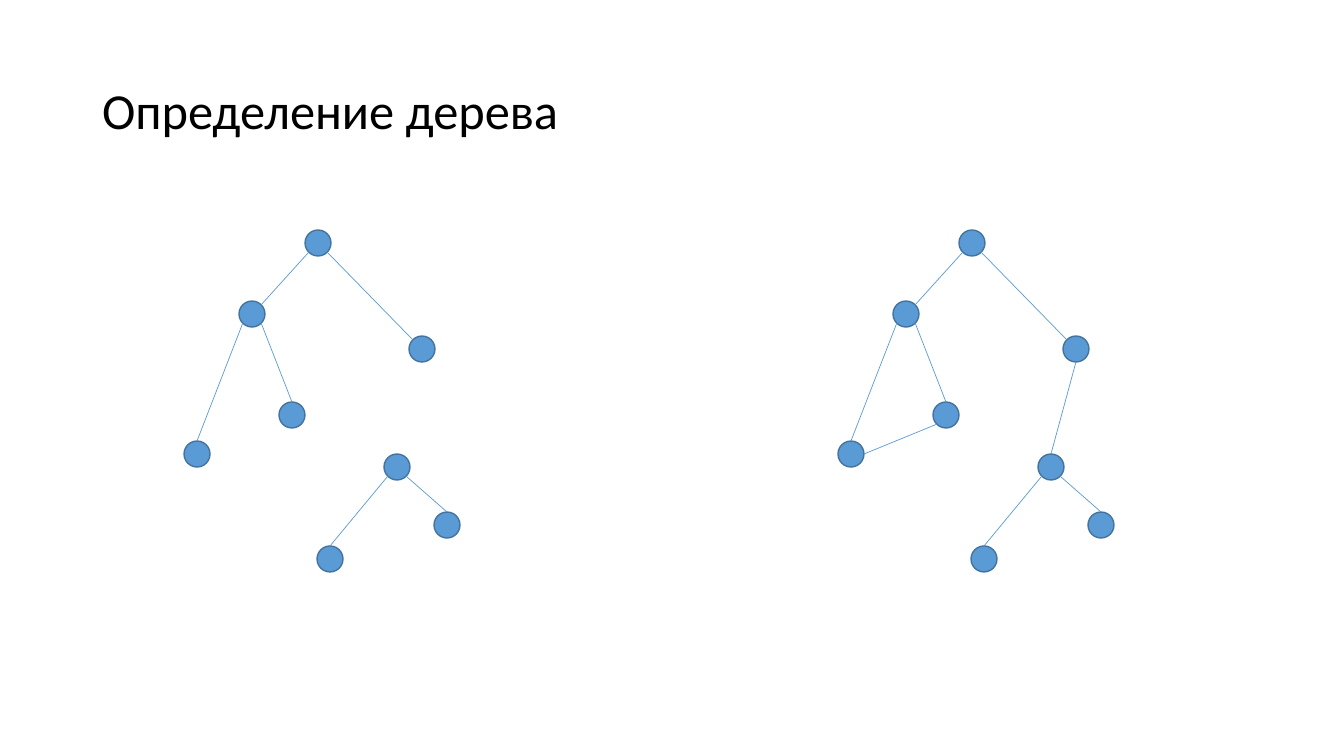
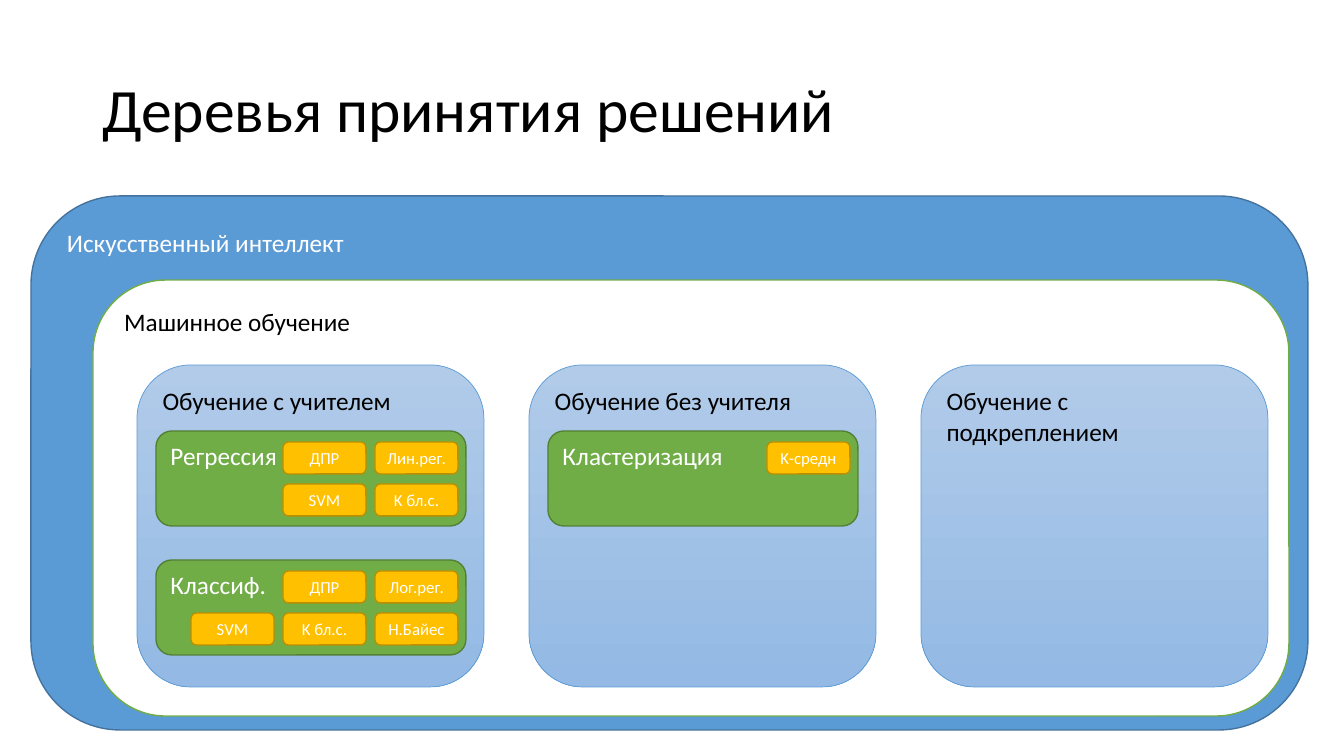
from lxml import etree
from pptx import Presentation
from pptx.dml.color import RGBColor
from pptx.enum.shapes import MSO_CONNECTOR, MSO_SHAPE
from pptx.enum.text import MSO_ANCHOR, PP_ALIGN
from pptx.oxml.ns import qn
from pptx.util import Emu, Pt

PX = 914400 / 100.8
SLIDE_W, SLIDE_H = 1344, 756
TITLE_ONLY = 5
TITLE_BOX = (92, 40, 1159, 146)
FONT = "Calibri"

OVAL = MSO_SHAPE.FLOWCHART_CONNECTOR
ROUND = MSO_SHAPE.ROUNDED_RECTANGLE
STRAIGHT = MSO_CONNECTOR.STRAIGHT
LEFT, CENTER = PP_ALIGN.LEFT, PP_ALIGN.CENTER
TOP, MIDDLE = MSO_ANCHOR.TOP, MSO_ANCHOR.MIDDLE

BLUE, BLUE_EDGE = "5B9BD5", "43739E"
GREEN, GREEN_EDGE = "70AD47", "538035"
GOLD, GOLD_EDGE = "FFC000", "BD8E00"
WHITE, BLACK = "FFFFFF", "000000"
PANEL_STOPS = ("B1CBE9", "93B9E4")

CAPTION = {"size": 18, "align": LEFT, "frame": {"vertical_anchor": TOP, "word_wrap": True}}
LABEL = {"size": 12, "align": CENTER, "frame": {"vertical_anchor": MIDDLE, "word_wrap": False}}

# Tree nodes: centres relative to the tree's box
NODE = 26
NODES = {
    "root": (134, 13), "left": (68, 84), "right": (238, 119),
    "inner": (108, 185), "outer": (13, 224),
    "sub": (213, 237), "sub_left": (146, 329), "sub_right": (263, 295),
}
# Connection sites of a circle: number and direction from the centre
DIAG = 0.71
SITES = {
    "n": (0, 0, -1), "nw": (1, -DIAG, -DIAG), "w": (2, -1, 0), "sw": (3, -DIAG, DIAG),
    "s": (4, 0, 1), "se": (5, DIAG, DIAG), "e": (6, 1, 0), "ne": (7, DIAG, -DIAG),
}
FOREST_EDGES = [
    ("root", "sw", "left", "ne"), ("root", "se", "right", "nw"),
    ("left", "sw", "outer", "n"), ("left", "se", "inner", "n"),
    ("sub", "sw", "sub_left", "n"), ("sub", "se", "sub_right", "n"),
]
CYCLE_EDGES = FOREST_EDGES + [("right", "s", "sub", "n"), ("outer", "e", "inner", "sw")]

# Learning types, their task groups and the methods in rows, aligned to the right
LEARNING = [
    ("Обучение с учителем", [
        ("Регрессия", [["ДПР", "Лин.рег."], ["SVM", "K бл.с."]]),
        ("Классиф.", [["ДПР", "Лог.рег."], ["SVM", "K бл.с.", "Н.Байес"]]),
    ]),
    ("Обучение без учителя", [("Кластеризация", [["K-средн"]])]),
    ("Обучение с подкреплением", []),
]


def px(value):
    """Turn pixels into EMU."""
    return Emu(round(value * PX))


def rgb(value):
    """Turn a hex string into a colour."""
    return RGBColor.from_string(value)


def set_attrs(obj, values):
    """Set every attribute named in a dict."""
    for name, value in values.items():
        setattr(obj, name, value)


def write(tf, text, color, style):
    """Put one formatted paragraph into a text frame."""
    set_attrs(tf, style["frame"])
    p = tf.paragraphs[0]
    p.alignment = style["align"]
    r = p.add_run()
    r.text = text
    set_attrs(r.font, {"name": FONT, "size": Pt(style["size"])})
    r.font.color.rgb = rgb(color)
    return p


def add_shape(s, kind, box, fill, edge, width=1):
    """Add a preset shape; a tuple of two colours fills it from top to bottom."""
    sp = s.shapes.add_shape(kind, *map(px, box))
    sp.shadow.inherit = False
    if isinstance(fill, tuple):
        sp.fill.gradient()
        sp.fill.gradient_angle = 270
        for stop, color in zip(sp.fill.gradient_stops, fill):
            stop.color.rgb = rgb(color)
    else:
        sp.fill.solid()
        sp.fill.fore_color.rgb = rgb(fill)
    sp.line.color.rgb = rgb(edge)
    sp.line.width = Pt(width)
    return sp


def add_block(s, box, text, fill, edge, color, style=CAPTION, width=1):
    """Add a rounded block with its text."""
    sp = add_shape(s, ROUND, box, fill, edge, width)
    write(sp.text_frame, text, color, style)


def add_titled_slide(prs, text, size):
    """Add a title-only slide and format its title."""
    s = prs.slides.add_slide(prs.slide_layouts[TITLE_ONLY])
    title = s.shapes.title
    set_attrs(title, dict(zip(("left", "top", "width", "height"), map(px, TITLE_BOX))))
    style = {"size": size, "align": LEFT, "frame": {"vertical_anchor": MIDDLE, "word_wrap": True}}
    write(title.text_frame, text, BLACK, style).line_spacing = 0.9
    return s


def site_point(left, top, node, site):
    """Give the place of a connection site on a node."""
    x, y = NODES[node]
    dx, dy = SITES[site][1:]
    return px(left + x + dx * NODE / 2), px(top + y + dy * NODE / 2)


def add_tree(s, left, top, edges):
    """Draw the nodes from the box corner and glue the edges to them."""
    circles = {}
    for name, (x, y) in NODES.items():
        box = (left + x - NODE / 2, top + y - NODE / 2, NODE, NODE)
        circles[name] = add_shape(s, OVAL, box, BLUE, BLUE_EDGE)
    for start, start_site, end, end_site in edges:
        line = s.shapes.add_connector(
            STRAIGHT, *site_point(left, top, start, start_site),
            *site_point(left, top, end, end_site))
        line.line.color.rgb = rgb(BLUE)
        line.line.width = Pt(0.5)
        etree.SubElement(line._element.spPr, qn("a:effectLst"))
        links = line._element.find(".//" + qn("p:cNvCxnSpPr"))
        for tag, node, site in (("a:stCxn", start, start_site), ("a:endCxn", end, end_site)):
            etree.SubElement(links, qn(tag), id=str(circles[node].shape_id),
                             idx=str(SITES[site][0]))


def add_group(s, box, name, rows):
    """Draw a task group with its methods in right-aligned rows."""
    left, top, width, _ = box
    chip_w, chip_h, step_x, step_y, margin = 83, 32, 92, 42, 8
    add_block(s, box, name, GREEN, GREEN_EDGE, WHITE)
    for i, row in enumerate(rows):
        for j, method in enumerate(reversed(row)):
            x = left + width - margin - chip_w - j * step_x
            chip = (x, top + 11 + i * step_y, chip_w, chip_h)
            add_block(s, chip, method, GOLD, GOLD_EDGE, WHITE, LABEL)


def add_panel(s, box, name, groups):
    """Draw a learning type with its task groups below the caption."""
    left, top, _, _ = box
    add_block(s, box, name, PANEL_STOPS, BLUE, BLACK, width=0.5)
    for i, (task, rows) in enumerate(groups):
        add_group(s, (left + 19, top + 66 + i * 129, 310, 95), task, rows)


def add_field_map(s, box):
    """Draw the nested fields and spread the learning types across the inner one."""
    left, top, width, height = box
    inner = (left + 62, top + 84, width - 81, height - 98)
    add_block(s, box, "Искусственный интеллект", BLUE, BLUE_EDGE, WHITE)
    add_block(s, inner, "Машинное обучение", WHITE, GREEN, BLACK)
    panel_w, panel_h, gap = 347, 322, 45
    for i, (name, groups) in enumerate(LEARNING):
        x = inner[0] + 44 + i * (panel_w + gap)
        add_panel(s, (x, inner[1] + 85, panel_w, panel_h), name, groups)


def main():
    """Build both slides and save them."""
    prs = Presentation()
    set_attrs(prs, {"slide_width": px(SLIDE_W), "slide_height": px(SLIDE_H)})

    s = add_titled_slide(prs, "Определение дерева", 36)
    add_tree(s, 184, 230, FOREST_EDGES)
    add_tree(s, 838, 230, CYCLE_EDGES)

    s = add_titled_slide(prs, "Деревья принятия решений", 44)
    add_field_map(s, (31, 196, 1277, 534))

    prs.save("out.pptx")


main()
